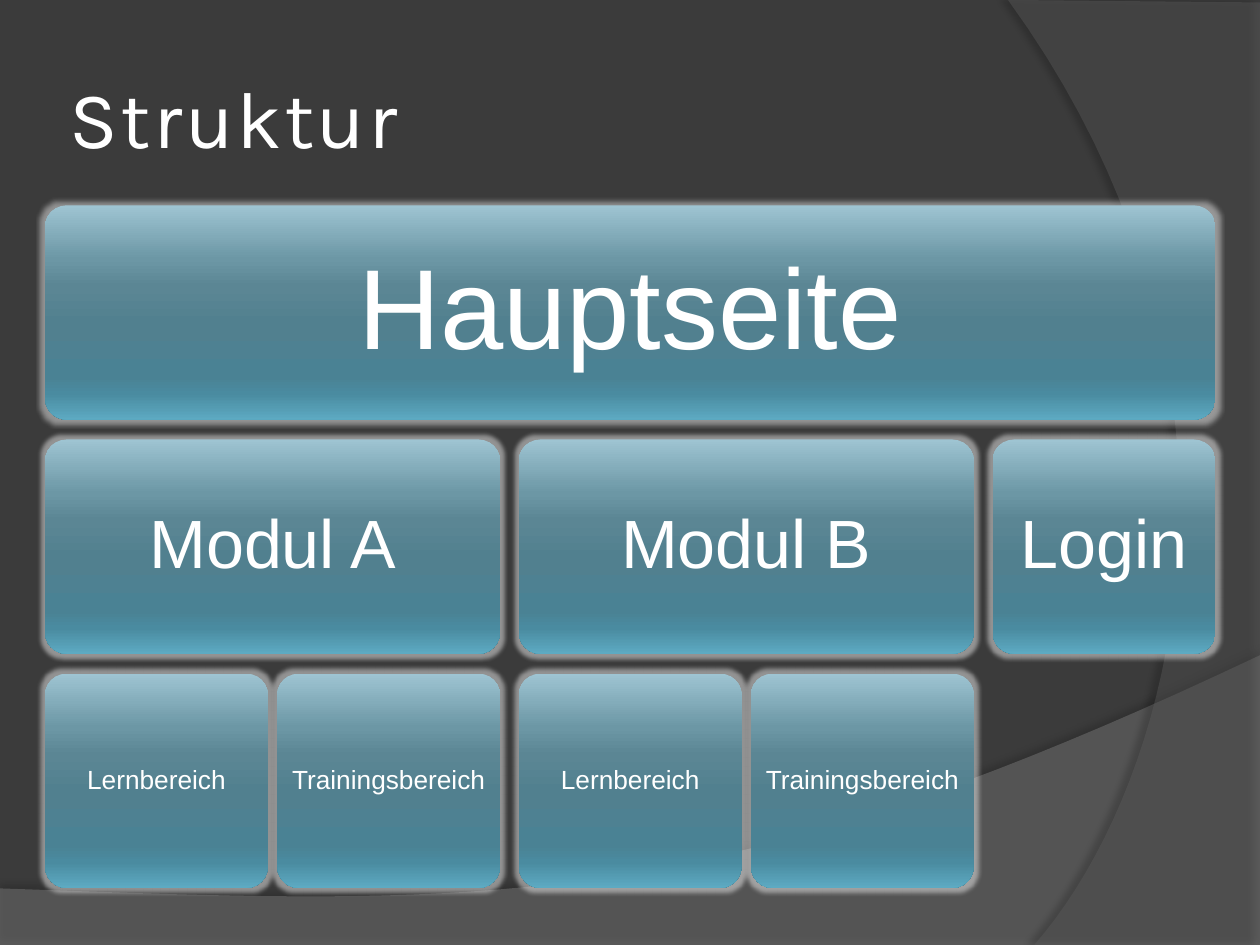
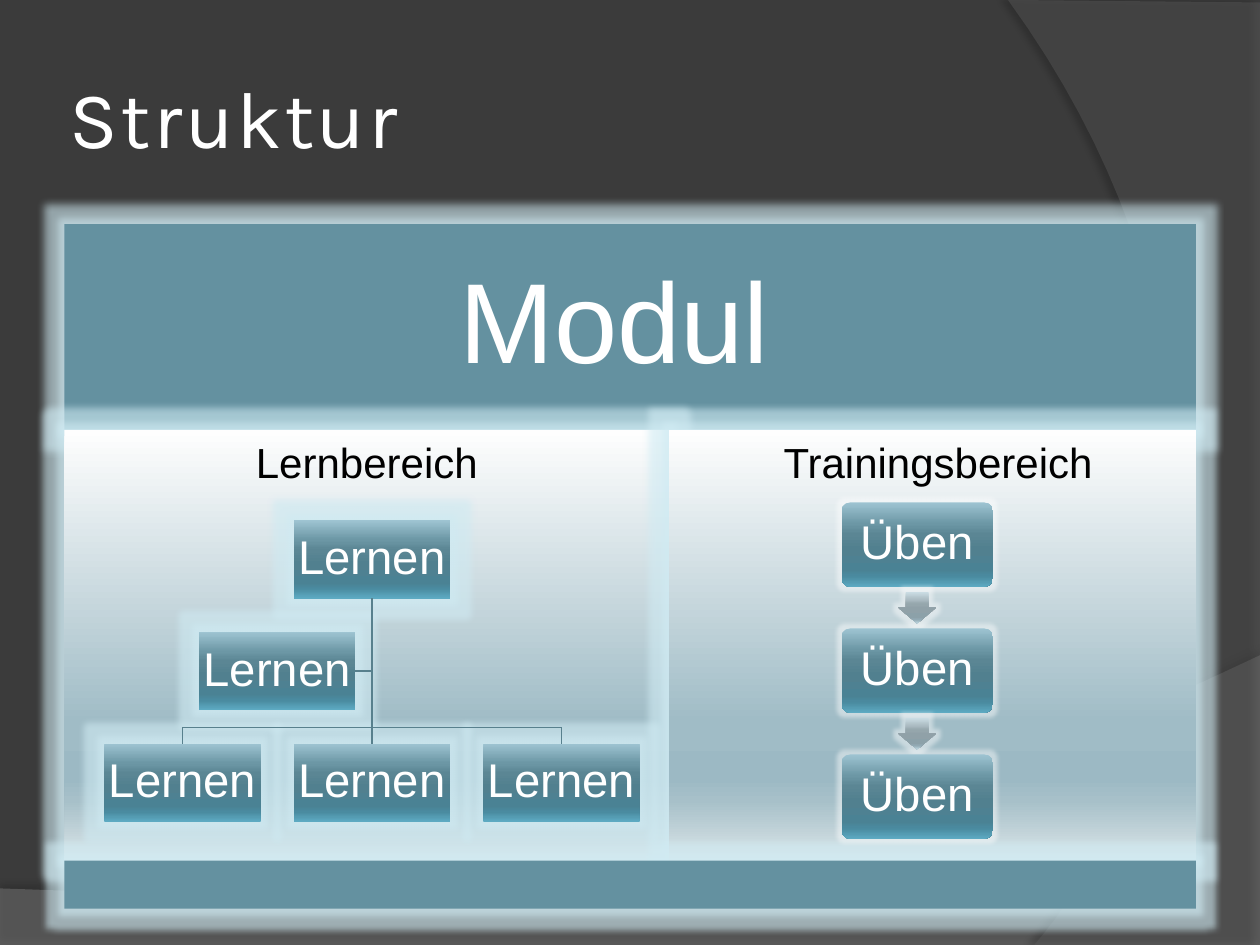
import dataclasses

import lxml.etree
import pptx
import pptx.dml.color
import pptx.enum.shapes
import pptx.enum.text
import pptx.oxml.ns
import pptx.util

Cm = pptx.util.Cm
Pt = pptx.util.Pt
qn = pptx.oxml.ns.qn
SHAPE = pptx.enum.shapes.MSO_SHAPE
ANCHOR = pptx.enum.text.MSO_ANCHOR
ALIGN = pptx.enum.text.PP_ALIGN

BACKGROUND, WHITE, BLACK = "3B3B3B", "FFFFFF", "000000"
TEAL, CONNECTOR = "6491A0", "58808D"
STOPS = (0, 25, 38, 55, 80, 88, 100)
GLOSS = list(zip(STOPS, ("9EC4D2", "6C97A5", "5B8694", "51808F", "4A8294", "4A8BA0", "5DAAC2")))
ARROW_GLOSS = list(zip(STOPS, ("CCDEE5", "ACBCC3", "95A6AC", "90A1A8", "8CA1A9", "92AAB4", "B4D0DC")))
MIST = [(0, "FEFEFE"), (68, "A0BCC6"), (81, "9CB9C4"), (86, "A7C0C9"), (100, "DAE4E7")]
# Glows: colour, opacity in percent, radius in points
SOFT_GLOW = (WHITE, 45, 5)
WIDE_GLOW = ("D0EBF3", 60, 8)


@dataclasses.dataclass
class Box:
    """A region in centimetres."""
    left: float
    top: float
    width: float
    height: float

    def inner(self, left, top, width, height):
        return Box(self.left + left, self.top + top, width, height)

    def lengths(self):
        return [Cm(value) for value in (self.left, self.top, self.width, self.height)]


PAGE = Box(0, 0, 25.4, 19.05)


def color(hex_value):
    return pptx.dml.color.RGBColor.from_string(hex_value)


def add_color(parent, hex_value, opacity=100):
    element = lxml.etree.SubElement(parent, qn("a:srgbClr"), val=hex_value)
    if opacity < 100:
        lxml.etree.SubElement(element, qn("a:alpha"), val=str(opacity * 1000))


def fill_shape(shape, fill):
    """Fill with one colour, or downwards with a list of gradient stops."""
    if isinstance(fill, str):
        shape.fill.solid()
        shape.fill.fore_color.rgb = color(fill)
        return
    shape.fill.gradient()
    shape.fill.gradient_angle = 270
    stop_list = shape.element.spPr.find(qn("a:gradFill")).find(qn("a:gsLst"))
    for stop in list(stop_list):
        stop_list.remove(stop)
    for position, hex_value in fill:
        stop = lxml.etree.SubElement(stop_list, qn("a:gs"), pos=str(position * 1000))
        add_color(stop, hex_value)


def add_effect(shape, name, hex_value, opacity, **settings):
    shape.shadow.inherit = False
    effects = shape.element.spPr.find(qn("a:effectLst"))
    effect = lxml.etree.SubElement(effects, qn("a:" + name))
    for key, value in settings.items():
        effect.set(key, str(int(value)))
    add_color(effect, hex_value, opacity)


def write(shape, text, size, inset, font="Arial", ink=WHITE, anchor=ANCHOR.MIDDLE,
          align=ALIGN.CENTER, line_spacing=0.9):
    frame = shape.text_frame
    formats = {"word_wrap": True, "vertical_anchor": anchor}
    formats.update({"margin_" + side: Cm(inset) for side in ("left", "top", "right", "bottom")})
    for name, value in formats.items():
        setattr(frame, name, value)
    paragraph = frame.paragraphs[0]
    paragraph.alignment = align
    paragraph.line_spacing = line_spacing
    run = paragraph.add_run()
    run.text = text
    for name, value in {"name": font, "size": Pt(size), "bold": False}.items():
        setattr(run.font, name, value)
    run.font.color.rgb = color(ink)


def add_block(slide, kind, box, fill, glow=None, text=None, **text_format):
    shape = slide.shapes.add_shape(kind, *box.lengths())
    if kind == SHAPE.ROUNDED_RECTANGLE:
        shape.adjustments[0] = 0.1
    fill_shape(shape, fill)
    shape.line.fill.background()
    shape.shadow.inherit = False
    if glow:
        hex_value, opacity, radius = glow
        add_effect(shape, "glow", hex_value, opacity, rad=Pt(radius))
    if text:
        write(shape, text, **text_format)
    return shape


def add_line(slide, start, end):
    points = [Cm(value) for value in (*start, *end)]
    line = slide.shapes.add_connector(pptx.enum.shapes.MSO_CONNECTOR.STRAIGHT, *points)
    line.line.color.rgb = color(CONNECTOR)
    line.line.width = Pt(0.75)
    lxml.etree.SubElement(line.element.spPr, qn("a:effectLst"))
    return line


def curve(start, control_1, control_2, end, steps=40):
    """Points along a cubic curve, without its start."""
    points = (start, control_1, control_2, end)
    for step in range(1, steps + 1):
        t = step / steps
        weights = ((1 - t) ** 3, 3 * t * (1 - t) ** 2, 3 * t ** 2 * (1 - t), t ** 3)
        yield tuple(sum(w * p[axis] for w, p in zip(weights, points)) for axis in (0, 1))


def add_sweep(slide, corners, bend, fill, opacity, shadow_opacity, distance, direction):
    """A translucent area with straight corners and one curved edge."""
    points = corners + list(curve(corners[-1], *bend))
    points = [(Cm(x), Cm(y)) for x, y in points]
    builder = slide.shapes.build_freeform(*points[0], scale=1.0)
    builder.add_line_segments(points[1:], close=True)
    shape = builder.convert_to_shape()
    fill_shape(shape, fill)
    fill_color = shape.element.spPr.find(qn("a:solidFill"))[0]
    lxml.etree.SubElement(fill_color, qn("a:alpha"), val=str(opacity * 1000))
    shape.line.fill.background()
    add_effect(shape, "outerShdw", BLACK, shadow_opacity, blurRad=Pt(4),
               dist=Pt(distance), dir=direction * 60000, rotWithShape=0)


def add_base_slide(presentation, title):
    """Dark background with two sweeps and the title."""
    slide = presentation.slides.add_slide(presentation.slide_layouts[6])
    slide.background.fill.solid()
    slide.background.fill.fore_color.rgb = color(BACKGROUND)
    right, bottom = PAGE.width, PAGE.height
    add_sweep(slide, [(0, 17.91), (0, bottom), (right, bottom), (right, 13.21)],
              [(14.2, 18.52), (9.93, 18.26), (0, 17.91)], "7F7F7F", 45, 35, 3.5, 270)
    add_sweep(slide, [(right, 0.05), (right, bottom), (20.85, bottom)],
              [(23.75, 15.72), (25.86, 7.62), (20.32, 0)], "5E5E5E", 40, 45, 4, 180)
    title_box = slide.shapes.add_textbox(*PAGE.inner(1.27, 0.76, 20.75, 3.18).lengths())
    write(title_box, title, 46, 0.13, font="Karla", align=ALIGN.LEFT, line_spacing=1.0)
    # Letter spacing in hundredths of a point
    title_box.element.find(".//" + qn("a:rPr")).set("spc", "150")
    return slide


def add_site_map(slide, box):
    """Main page over modules over areas; parents span their children."""
    leaf, near, far = 4.49, 0.19, 0.38
    height, pitch = 4.32, 4.72
    module_width = 2 * leaf + near

    def tile(text, left, row, width, size, inset):
        add_block(slide, SHAPE.ROUNDED_RECTANGLE, box.inner(left, row * pitch, width, height),
                  GLOSS, SOFT_GLOW, text, size=size, inset=inset)

    tile("Hauptseite", 0, 0, box.width, 65, 0.69)
    for index, module in enumerate(("Modul A", "Modul B")):
        left = index * (module_width + far)
        tile(module, left, 1, module_width, 39, 0.41)
        for column, area in enumerate(("Lernbereich", "Trainingsbereich")):
            tile(area, left + column * (leaf + near), 2, leaf, 15, 0.15)
    tile("Login", 2 * (module_width + far), 1, leaf, 39, 0.41)


def add_learning_tree(slide, box):
    """One root, one assistant and three children."""
    width, height, column, row = 3.15, 1.57, 3.82, 2.25
    center, top = 6.2, 1.83

    def node(columns, rows):
        place = box.inner(center + columns * column - width / 2, top + rows * row, width, height)
        return add_block(slide, SHAPE.RECTANGLE, place, GLOSS, WIDE_GLOW, "Lernen",
                         size=27, inset=0.05)

    root, assistant = node(0, 0), node(-0.5, 1)
    children = [node(columns, 2) for columns in (-1, 0, 1)]

    # Trunk, branch to the assistant, and a bus with drops to the outer children
    trunk_x = box.left + center
    child_top = box.top + top + 2 * row
    bus_y = child_top - 0.33
    branch_y = box.top + top + row + height / 2
    trunk = add_line(slide, (trunk_x, bus_y), (trunk_x, child_top))
    trunk.begin_connect(root, 2)
    trunk.end_connect(children[1], 0)
    branch = add_line(slide, (trunk_x, branch_y), (trunk_x - 0.33, branch_y))
    branch.end_connect(assistant, 3)
    add_line(slide, (trunk_x - column, bus_y), (trunk_x + column, bus_y))
    for side, child in ((-1, children[0]), (1, children[2])):
        drop_x = trunk_x + side * column
        add_line(slide, (drop_x, bus_y), (drop_x, child_top)).end_connect(child, 0)


def add_exercise_chain(slide, box):
    """Three steps with arrows centred in the gaps."""
    width, height, pitch, count = 3.05, 1.7, 2.54, 3
    arrow_width, arrow_height = 0.76, 0.64
    center, top = 5.0, 1.47
    for index in range(count):
        step_top = top + index * pitch
        add_block(slide, SHAPE.ROUNDED_RECTANGLE,
                  box.inner(center - width / 2, step_top, width, height),
                  GLOSS, SOFT_GLOW, "Üben", size=27, inset=0.1)
        if index < count - 1:
            arrow_top = step_top + (height + pitch - arrow_height) / 2
            arrow = add_block(slide, SHAPE.DOWN_ARROW,
                              box.inner(center - arrow_width / 2, arrow_top,
                                        arrow_width, arrow_height), ARROW_GLOSS, SOFT_GLOW)
            arrow.adjustments[0], arrow.adjustments[1] = 0.6, 0.5


def add_module_panel(slide, box):
    """Header and footer bars around two columns."""
    header, footer, left_width = 4.14, 0.97, 12.19
    body = box.height - header - footer
    add_block(slide, SHAPE.RECTANGLE, box.inner(0, 0, box.width, header), TEAL, WIDE_GLOW,
              "Modul ", size=65, inset=0.69)
    learning = box.inner(0, header, left_width, body)
    training = box.inner(left_width, header, box.width - left_width, body)
    for column, heading in ((learning, "Lernbereich"), (training, " Trainingsbereich")):
        add_block(slide, SHAPE.RECTANGLE, column, MIST, WIDE_GLOW, heading,
                  size=24, inset=0.25, ink=BLACK, anchor=ANCHOR.TOP)
    add_block(slide, SHAPE.RECTANGLE, box.inner(0, header + body, box.width, footer),
              TEAL, WIDE_GLOW)
    add_learning_tree(slide, learning)
    add_exercise_chain(slide, training)


def main():
    presentation = pptx.Presentation()
    presentation.slide_width, presentation.slide_height = Cm(PAGE.width), Cm(PAGE.height)
    add_site_map(add_base_slide(presentation, "Struktur"), Box(0.91, 4.14, 23.59, 13.76))
    add_module_panel(add_base_slide(presentation, "Struktur"), Box(1.3, 4.52, 22.81, 13.8))
    presentation.save("out.pptx")


if __name__ == "__main__":
    main()
